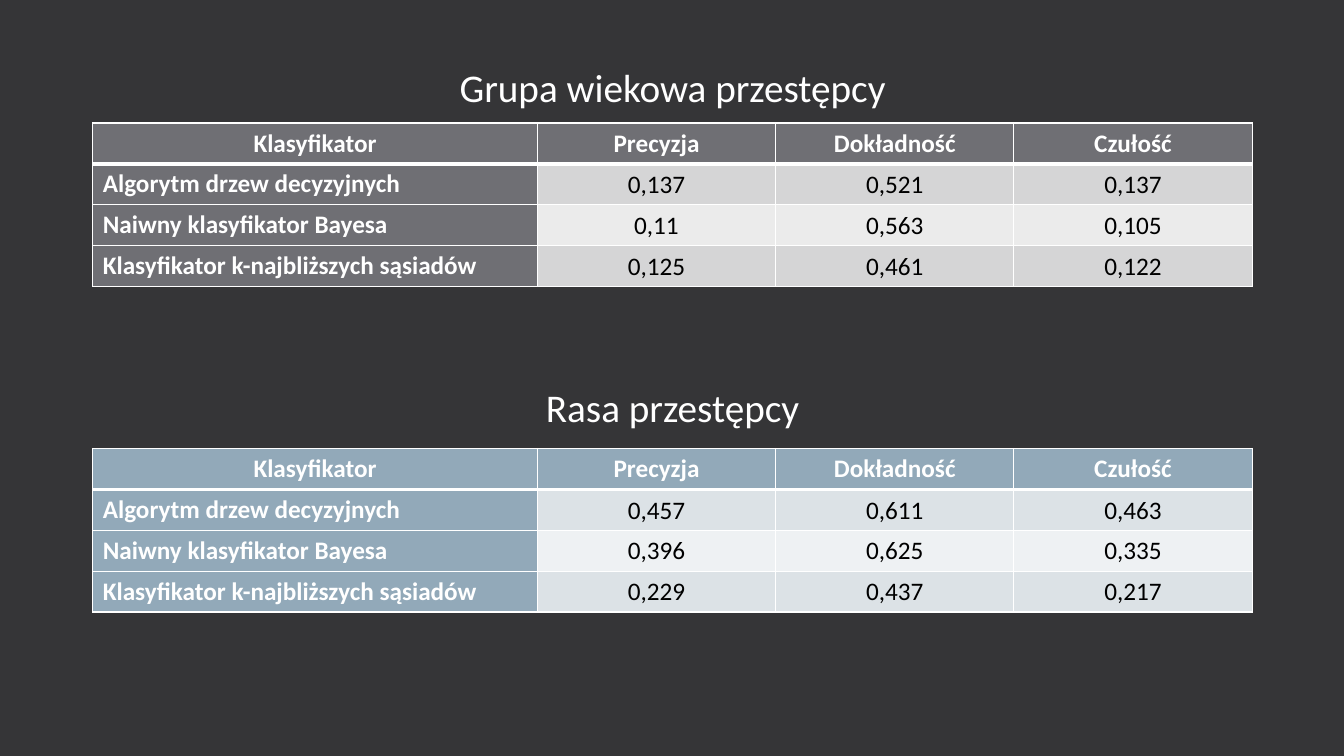
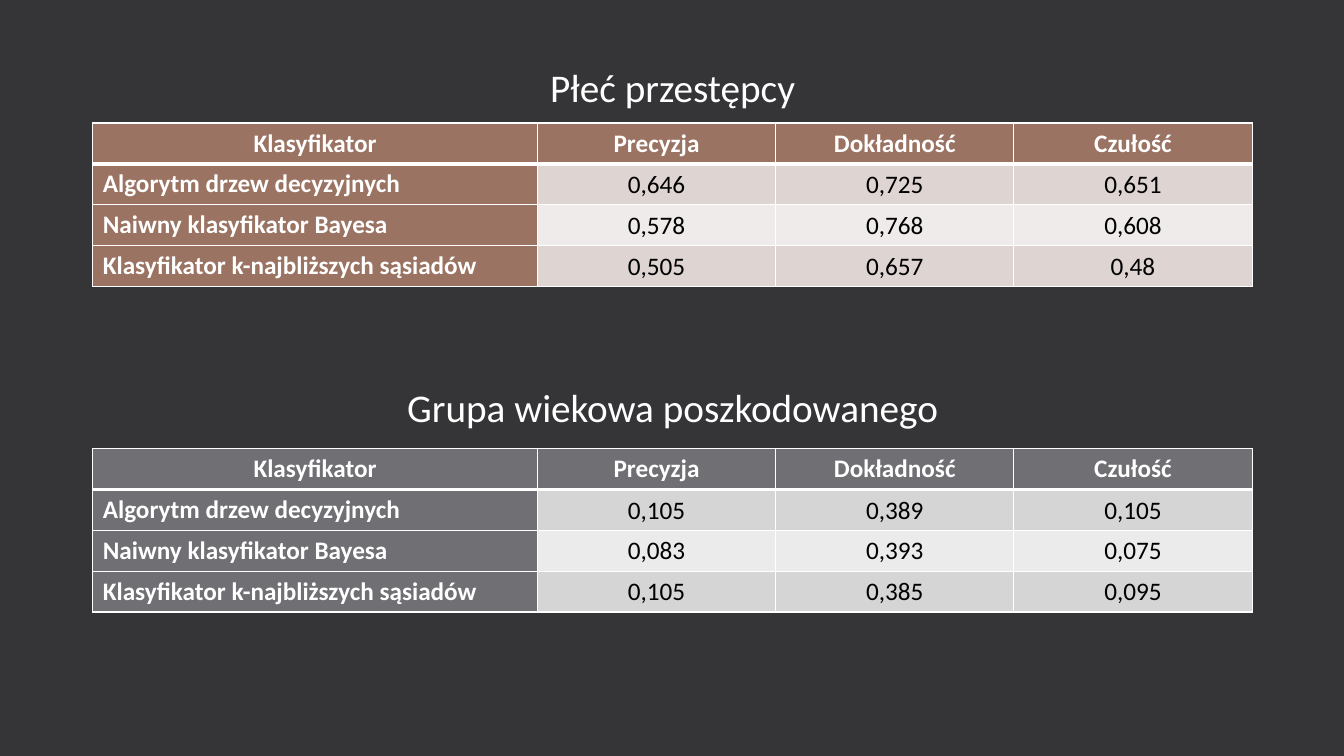
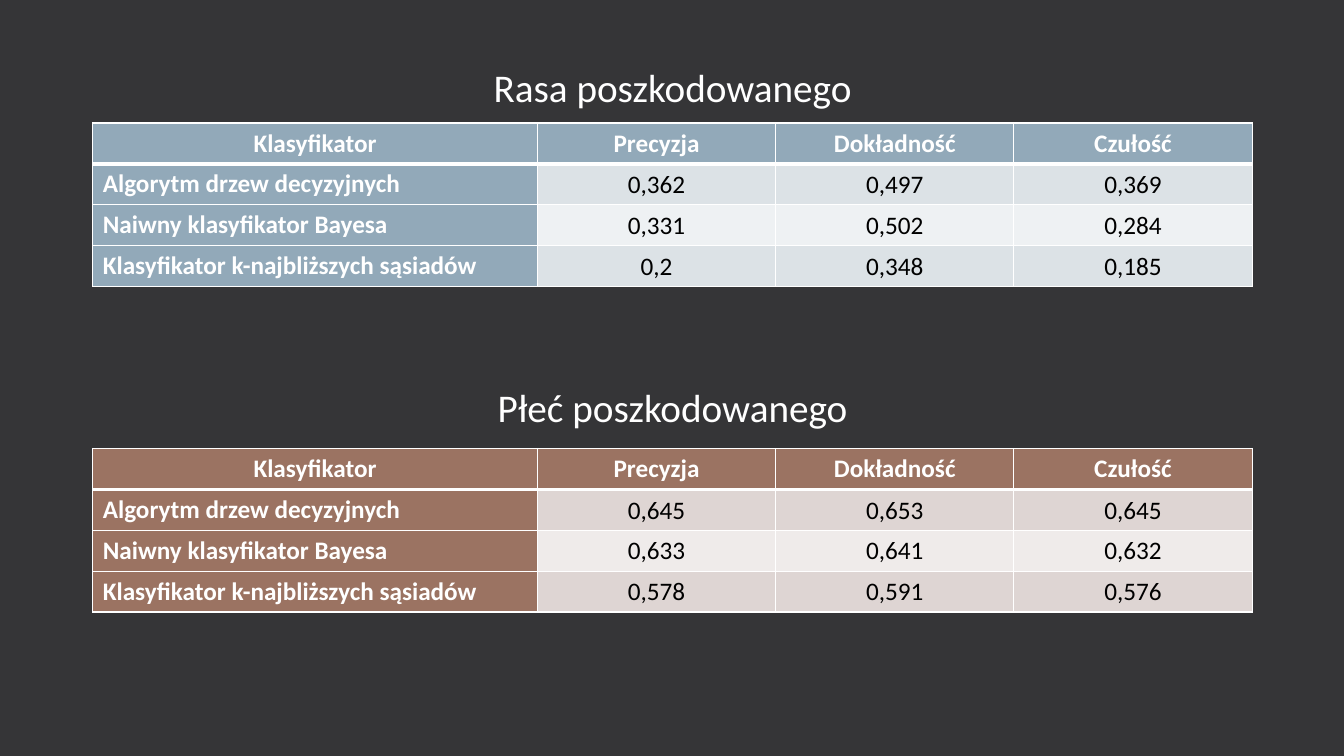
from lxml.etree import SubElement
from pptx import Presentation
from pptx.dml.color import RGBColor
from pptx.enum.text import MSO_ANCHOR, MSO_AUTO_SIZE, PP_ALIGN
from pptx.oxml.ns import qn
from pptx.util import Inches, Pt

FONT = "Calibri"
COLORS = {"background": "353537", "white": "FFFFFF", "black": "000000"}
# Each palette: headers, odd rows, even rows
PALETTES = {
    "gray": ("6F6F74", "D5D5D6", "EBEBEB"),
    "blue": ("92A9B9", "DCE2E6", "EEF1F3"),
    "brown": ("9B7362", "DED5D3", "EFEBEA"),
}

LEFT, WIDTH = Inches(0.92), Inches(11.5)
HEADING_HEIGHT, TABLE_HEIGHT = Inches(0.51), Inches(1.62)
NAME_WIDTH = Inches(4.41)
# Tops of heading and table in the upper and the lower half
HALVES = ((Inches(0.67), Inches(1.22)), (Inches(3.84), Inches(4.45)))

HEADERS = ("Klasyfikator", "Precyzja", "Dokładność", "Czułość")
CLASSIFIERS = (
    "Algorytm drzew decyzyjnych",
    "Naiwny klasyfikator Bayesa",
    "Klasyfikator k-najbliższych sąsiadów",
)

# Per slide: two sections of heading, palette and scores per classifier
PAGES = (
    (
        ("Grupa wiekowa przestępcy", "gray",
         ("0,137 0,521 0,137", "0,11 0,563 0,105", "0,125 0,461 0,122")),
        ("Rasa przestępcy", "blue",
         ("0,457 0,611 0,463", "0,396 0,625 0,335", "0,229 0,437 0,217")),
    ),
    (
        ("Płeć przestępcy", "brown",
         ("0,646 0,725 0,651", "0,578 0,768 0,608", "0,505 0,657 0,48")),
        ("Grupa wiekowa poszkodowanego", "gray",
         ("0,105 0,389 0,105", "0,083 0,393 0,075", "0,105 0,385 0,095")),
    ),
    (
        ("Rasa poszkodowanego", "blue",
         ("0,362 0,497 0,369", "0,331 0,502 0,284", "0,2 0,348 0,185")),
        ("Płeć poszkodowanego", "brown",
         ("0,645 0,653 0,645", "0,633 0,641 0,632", "0,578 0,591 0,576")),
    ),
)


def write(frame, text, size=18, color="white", bold=False, align=PP_ALIGN.CENTER):
    """Write one formatted paragraph and return it."""
    para = frame.paragraphs[0]
    para.alignment = align
    span = para.add_run()
    span.text = text
    span.font.name = FONT
    span.font.size = Pt(size)
    span.font.bold = bold
    span.font.color.rgb = RGBColor.from_string(COLORS[color])
    return para


def format_heading(box, text, top):
    """Place a title or text box as a section heading."""
    box.left, box.top, box.width, box.height = LEFT, top, WIDTH, HEADING_HEIGHT
    frame = box.text_frame
    frame.word_wrap = True
    frame.auto_size = MSO_AUTO_SIZE.NONE
    frame.vertical_anchor = MSO_ANCHOR.TOP
    para = write(frame, text, size=28)
    para.line_spacing = 0.8
    para.space_before = Pt(10)


def set_borders(cell, top=1, bottom=1):
    """Draw white borders around a cell, with widths in points."""
    properties = cell._tc.get_or_add_tcPr()
    for side, width in (("L", 1), ("R", 1), ("T", top), ("B", bottom)):
        line = SubElement(properties, qn(f"a:ln{side}"), w=str(Pt(width)))
        fill = SubElement(line, qn("a:solidFill"))
        SubElement(fill, qn("a:srgbClr"), val=COLORS["white"])


def format_cell(cell, row, column, text, palette):
    """Fill a cell as a column header, a classifier name or a score."""
    header_fill, odd_fill, even_fill = PALETTES[palette]
    set_borders(cell, top=3 if row == 1 else 1, bottom=3 if row == 0 else 1)
    cell.fill.solid()
    if row == 0 or column == 0:
        fill = header_fill
        align = PP_ALIGN.CENTER if row == 0 else PP_ALIGN.LEFT
        write(cell.text_frame, text, bold=True, align=align)
    else:
        fill = odd_fill if row % 2 else even_fill
        cell.vertical_anchor = MSO_ANCHOR.MIDDLE
        cell.margin_left = cell.margin_top = cell.margin_right = Inches(0.01)
        cell.margin_bottom = 0
        write(cell.text_frame, text, color="black")
    cell.fill.fore_color.rgb = RGBColor.from_string(fill)


def add_score_table(page, top, palette, scores):
    """Add the table that compares the classifiers."""
    rows = [HEADERS]
    rows += [(name, *line.split()) for name, line in zip(CLASSIFIERS, scores)]
    table = page.shapes.add_table(
        len(rows), len(HEADERS), LEFT, top, WIDTH, TABLE_HEIGHT).table
    table.first_col = True
    table.horz_banding = False
    for index, column in enumerate(table.columns):
        score_width = (WIDTH - NAME_WIDTH) // (len(HEADERS) - 1)
        column.width = score_width if index else NAME_WIDTH
    for row, texts in enumerate(rows):
        for column, text in enumerate(texts):
            format_cell(table.cell(row, column), row, column, text, palette)


def add_page(deck, sections):
    """Add a slide with an upper and a lower section."""
    page = deck.slides.add_slide(deck.slide_layouts.get_by_name("Title Only"))
    lower_heading = page.shapes.add_textbox(LEFT, 0, WIDTH, HEADING_HEIGHT)
    boxes = (page.shapes.title, lower_heading)
    for box, tops, section in zip(boxes, HALVES, sections):
        heading, palette, scores = section
        heading_top, table_top = tops
        format_heading(box, heading, heading_top)
        add_score_table(page, table_top, palette, scores)


def main():
    """Build and save the deck."""
    deck = Presentation()
    deck.slide_width, deck.slide_height = Inches(13.33), Inches(7.5)
    background = deck.slide_master.background.fill
    background.solid()
    background.fore_color.rgb = RGBColor.from_string(COLORS["background"])
    for sections in PAGES:
        add_page(deck, sections)
    deck.save("out.pptx")


main()
